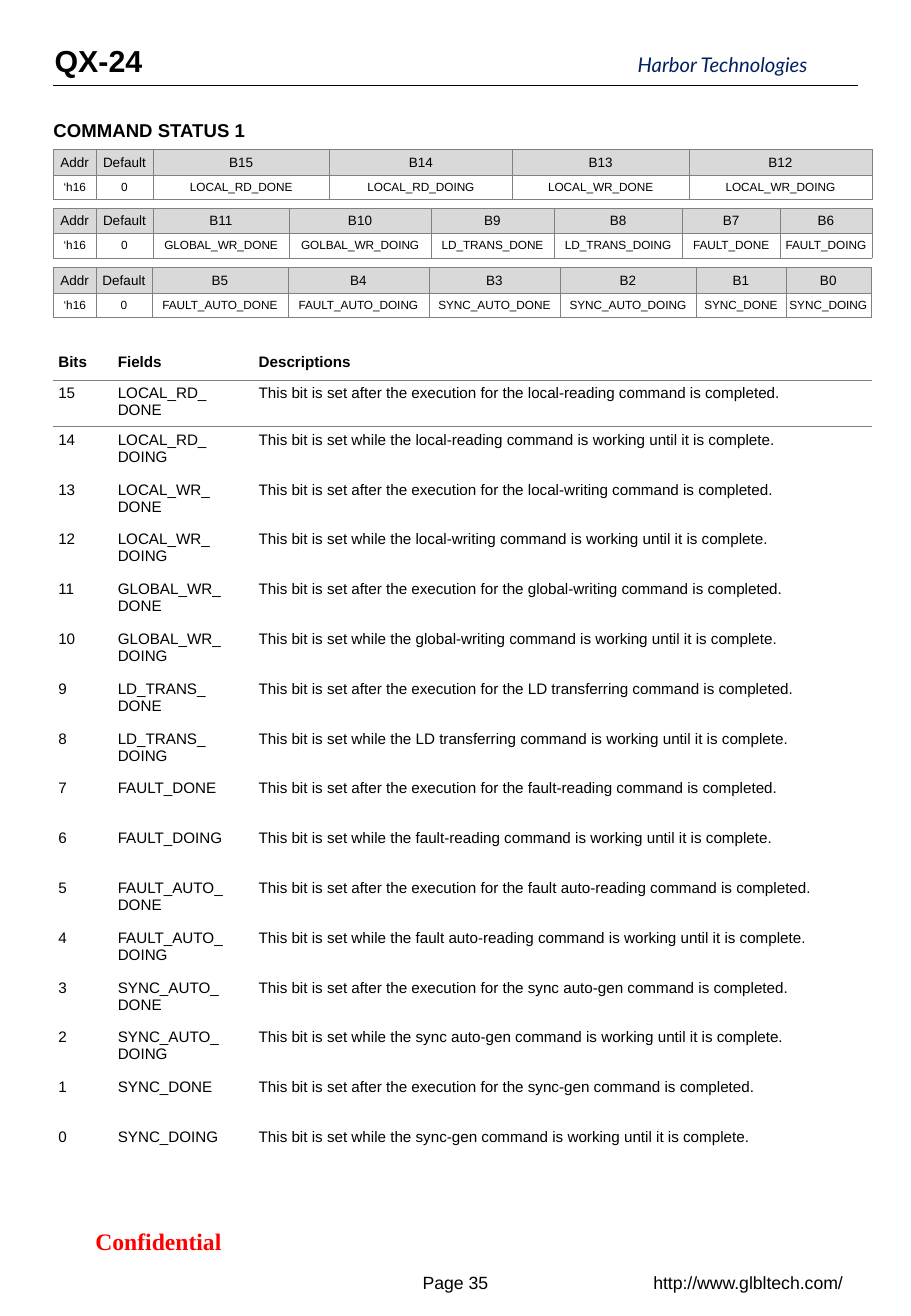
from lxml.etree import SubElement
from pptx import Presentation
from pptx.dml.color import RGBColor
from pptx.enum.shapes import MSO_CONNECTOR
from pptx.enum.text import MSO_ANCHOR, MSO_AUTO_SIZE, PP_ALIGN
from pptx.oxml.ns import qn
from pptx.util import Inches, Pt

COLORS = {"black": "000000", "navy": "002060", "red": "FF0000", "header": "D9D9D9", "border": "808080"}
NO_STYLE = "{2D5ABB26-0587-4C30-8999-92F81FD0307C}"
LEFT, CENTER = PP_ALIGN.LEFT, PP_ALIGN.CENTER
TOP, MIDDLE = MSO_ANCHOR.TOP, MSO_ANCHOR.MIDDLE


def write(target, text, size=9, font="Arial", color="black", bold=False, italic=False,
          align=LEFT, anchor=TOP, margins=(0.04, 0.04, 0.04, 0.04)):
    """Write text into a table cell or a text frame, one paragraph a line."""
    frame = getattr(target, "text_frame", target)
    frame.text = text
    target.vertical_anchor = anchor
    target.margin_left, target.margin_top, target.margin_right, target.margin_bottom = map(Inches, margins)
    for paragraph in frame.paragraphs:
        paragraph.alignment = align
        for run in paragraph.runs:
            run.font.size, run.font.name = Pt(size), font
            run.font.bold, run.font.italic = bold, italic
            run.font.color.rgb = RGBColor.from_string(COLORS[color])


def add_plain_table(top, widths, heights, border_width, border_sides):
    """Add an unstyled table; border_sides gives the bordered sides for a row index."""
    frame = slide.shapes.add_table(len(heights), len(widths), Inches(0.44), Inches(top),
                                   Inches(sum(widths)), Inches(sum(heights)))
    table = frame.table
    table.first_row = table.horz_banding = False
    table._tbl.tblPr.find(qn("a:tableStyleId")).text = NO_STYLE
    for column, width in zip(table.columns, widths):
        column.width = Inches(width)
    for index, (row, height) in enumerate(zip(table.rows, heights)):
        row.height = Inches(height)
        for cell in row.cells:
            properties = cell._tc.get_or_add_tcPr()
            for side in border_sides(index):
                line = SubElement(properties, qn(f"a:ln{side}"), w=str(Pt(border_width)))
                fill = SubElement(line, qn("a:solidFill"))
                SubElement(fill, qn("a:srgbClr"), val=COLORS["border"])
            cell.fill.background()
    return table


presentation = Presentation()
presentation.slide_width, presentation.slide_height = Inches(7.5), Inches(10.83)
slide = presentation.slides.add_slide(presentation.slide_layouts[5])

# Title, page header and footer
title = slide.shapes.title
title.left, title.top, title.width, title.height = map(Inches, (0.44, 0.93, 1.72, 0.29))
write(title.text_frame, "COMMAND STATUS 1", size=11, bold=True, margins=(0, 0.05, 0.1, 0.05))
title.text_frame.word_wrap = False
title.text_frame.auto_size = MSO_AUTO_SIZE.NONE

footer = dict(align=CENTER, anchor=MIDDLE, margins=(0.1, 0.05, 0.1, 0.05))
labels = [
    ("QX-24", (0.45, 0.3, 0.74, 0.4), dict(size=18, bold=True, margins=(0, 0.05, 0, 0.05))),
    ("Harbor Technologies", (5.25, 0.43, 1.6, 0.2),
     dict(size=12, font="Lato", color="navy", italic=True, margins=(0, 0, 0, 0))),
    ("Confidential", (0.34, 10.04, 1.93, 0.34),
     dict(size=14, font="Times New Roman", color="red", bold=True, **footer)),
    ("Page 35", (3.28, 10.38, 0.94, 0.34), dict(size=10.5, **footer)),
    ("http://www.glbltech.com/", (5.22, 10.38, 1.88, 0.34), dict(size=10.5, **footer)),
]
for text, box, style in labels:
    label = slide.shapes.add_textbox(*map(Inches, box))
    write(label.text_frame, text, **style)
    label.text_frame.word_wrap = style.get("align") == CENTER

header_rule = slide.shapes.add_connector(MSO_CONNECTOR.STRAIGHT, Inches(0.44), Inches(0.7),
                                         Inches(7.06), Inches(0.7))
header_rule.line.color.rgb = RGBColor.from_string(COLORS["black"])
header_rule.line.width = Pt(0.5)
SubElement(header_rule._element.spPr, qn("a:effectLst"))

# Register maps: top, highest bit, column widths, field names
registers = [
    (1.23, 15, (0.35, 0.47, 1.45, 1.51, 1.45, 1.51),
     ("LOCAL_RD_DONE", "LOCAL_RD_DOING", "LOCAL_WR_DONE", "LOCAL_WR_DOING")),
    (1.71, 11, (0.35, 0.47, 1.12, 1.17, 1.01, 1.06, 0.8, 0.76),
     ("GLOBAL_WR_DONE", "GOLBAL_WR_DOING", "LD_TRANS_DONE", "LD_TRANS_DOING", "FAULT_DONE", "FAULT_DOING")),
    (2.2, 5, (0.35, 0.46, 1.12, 1.16, 1.08, 1.12, 0.74, 0.7),
     ("FAULT_AUTO_DONE", "FAULT_AUTO_DOING", "SYNC_AUTO_DONE", "SYNC_AUTO_DOING", "SYNC_DONE", "SYNC_DOING")),
]
for top, high_bit, widths, fields in registers:
    register = add_plain_table(top, widths, (0.21, 0.2), 0.25, lambda index: "LRTB")
    headings = ["Addr", "Default"] + [f"B{high_bit - offset}" for offset in range(len(fields))]
    values = ["‘h16", "0", *fields]
    for column, (heading, value) in enumerate(zip(headings, values)):
        side = 0 if column == len(widths) - 1 else 0.04
        cell_style = dict(align=CENTER, anchor=MIDDLE, margins=(side, 0.04, side, 0.04))
        heading_cell = register.cell(0, column)
        write(heading_cell, heading, size=8, **cell_style)
        heading_cell.fill.solid()
        heading_cell.fill.fore_color.rgb = RGBColor.from_string(COLORS["header"])
        write(register.cell(1, column), value, size=7, **cell_style)

# Bit descriptions: each command has a DONE bit and a DOING bit
commands = [
    ("LOCAL_RD_", "local-reading"), ("LOCAL_WR_", "local-writing"),
    ("GLOBAL_WR_", "global-writing"), ("LD_TRANS_", "LD transferring"),
    ("FAULT_", "fault-reading"), ("FAULT_AUTO_", "fault auto-reading"),
    ("SYNC_AUTO_", "sync auto-gen"), ("SYNC_", "sync-gen"),
]
description_rows = []
for prefix, command in commands:
    field = prefix + ("\n" if prefix.count("_") == 2 else "")
    description_rows += [
        (field + "DONE", f"This bit is set after the execution for the {command} command is completed."),
        (field + "DOING", f"This bit is set while the {command} command is working until it is complete."),
    ]
descriptions = add_plain_table(2.83, (0.49, 1.16, 5.09), [0.3, 0.38] + [0.41] * 15, 0.5,
                               lambda index: {0: "B", 1: "T"}.get(index, ""))
for column, heading in enumerate(("Bits", "Fields", "Descriptions")):
    write(descriptions.cell(0, column), heading, bold=True, anchor=MIDDLE)
for row, (field, description) in enumerate(description_rows, start=1):
    bit = len(description_rows) - row
    for column, text in enumerate((str(bit), field, description)):
        write(descriptions.cell(row, column), text)

presentation.save("out.pptx")
